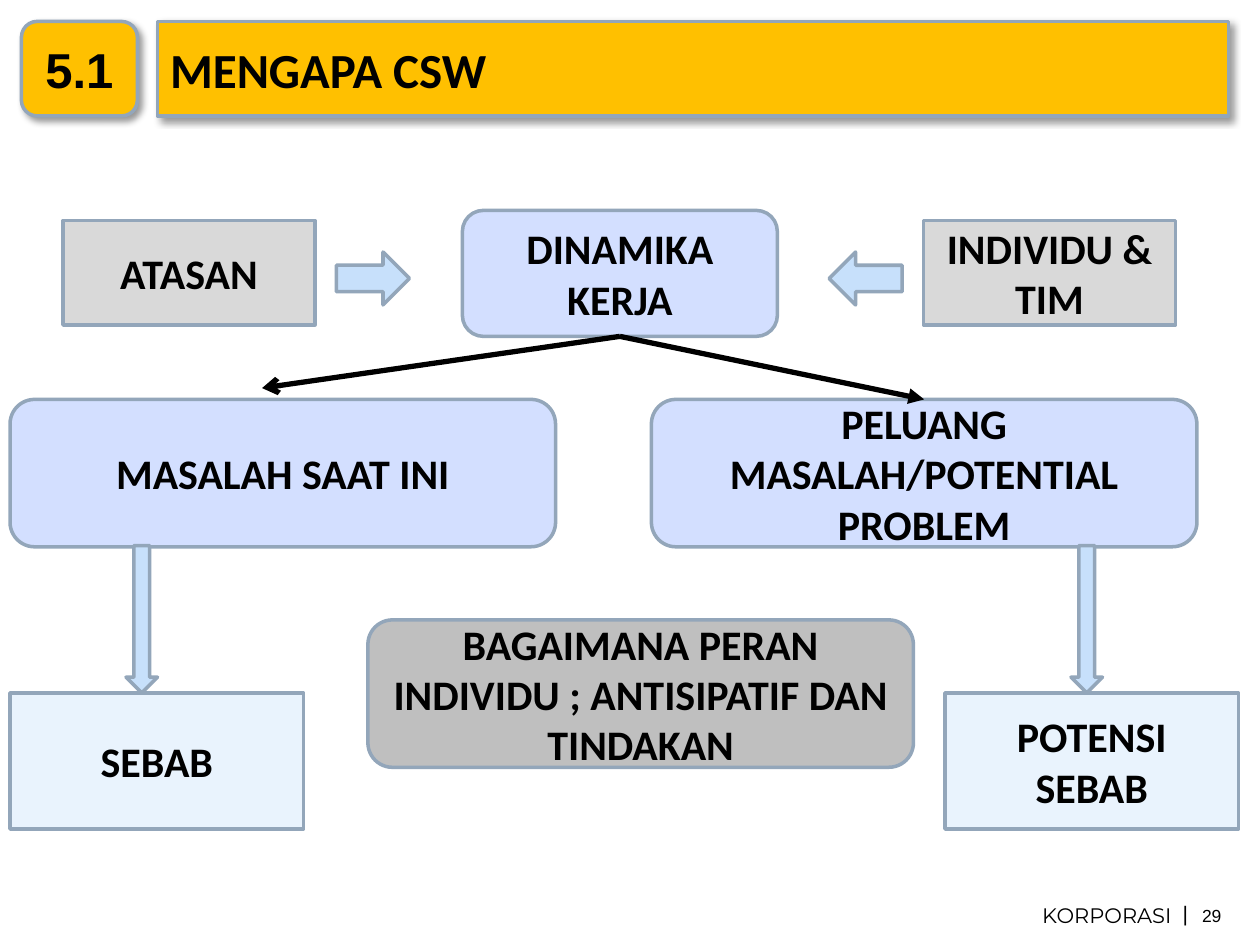
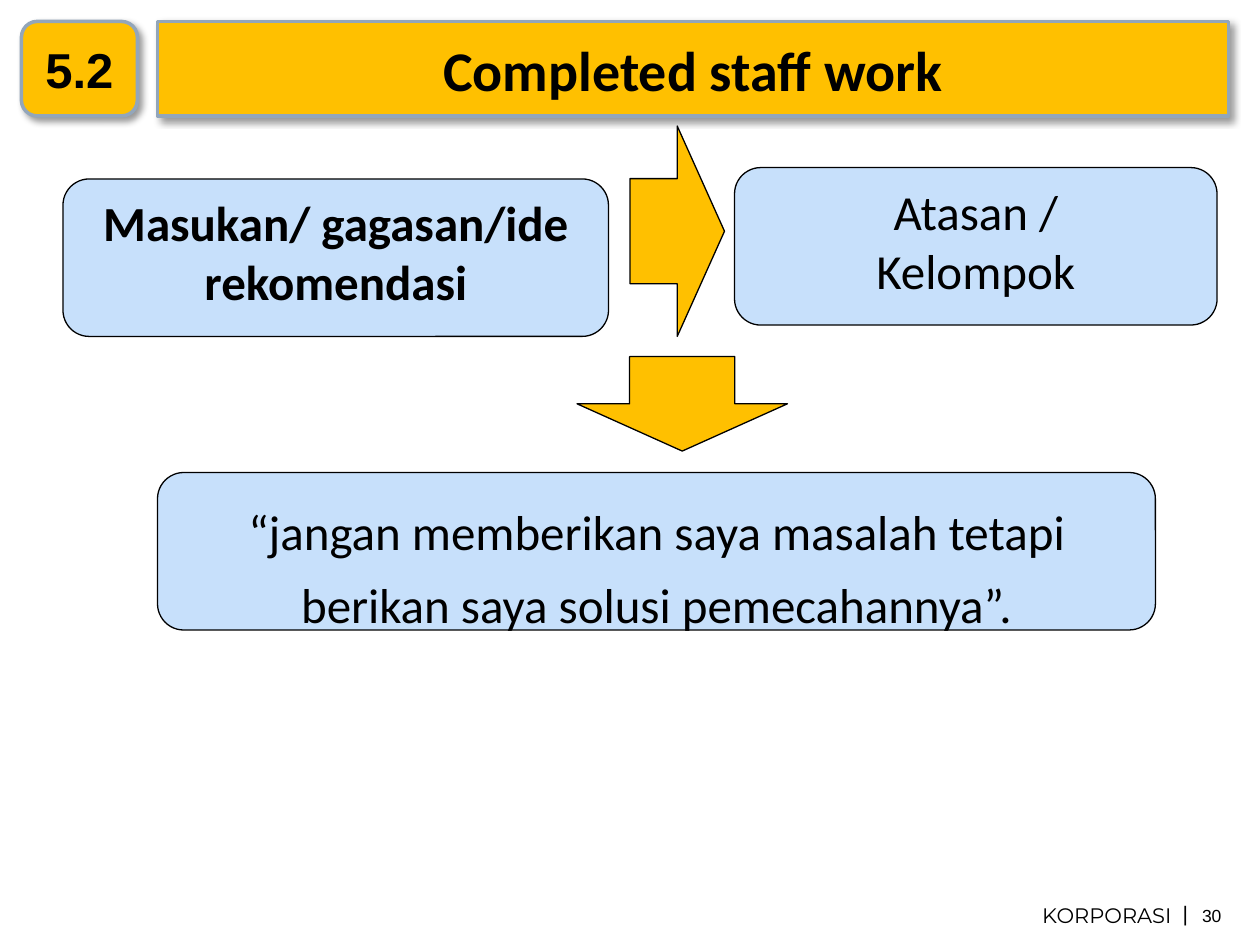
from dataclasses import dataclass

from lxml import etree
from pptx import Presentation
from pptx.dml.color import RGBColor
from pptx.enum import shapes, text
from pptx.oxml import ns
from pptx.util import Inches, Pt

COLOURS = {
    "black": "000000",
    "gold": "FFC000",
    "outline": "93A6BA",
    "lavender": "D3DFFF",
    "sky": "C7E0FB",
    "ice": "E9F3FD",
    "light_grey": "D9D9D9",
    "mid_grey": "BFBFBF",
}
FOOTER_NAME = "KORPORASI"
RECTANGLE = shapes.MSO_SHAPE.RECTANGLE
ROUNDED = shapes.MSO_SHAPE.ROUNDED_RECTANGLE
RIGHT_ARROW = shapes.MSO_SHAPE.RIGHT_ARROW
DOWN_ARROW = shapes.MSO_SHAPE.DOWN_ARROW
TOP, MIDDLE = text.MSO_ANCHOR.TOP, text.MSO_ANCHOR.MIDDLE
ALIGN = text.PP_ALIGN


@dataclass
class Box:
    left: float
    top: float
    width: float
    height: float
    fill: str
    words: str = ""
    kind: shapes.MSO_SHAPE = RECTANGLE
    size: float = 24
    bold: bool = True
    anchor: text.MSO_ANCHOR = MIDDLE
    spacing: float = 1.0
    rotation: float = 0
    line: str = "outline"
    line_width: float = 2


def colour(name: str) -> RGBColor:
    return RGBColor.from_string(COLOURS[name])


def write(shape, words: str, *, size: float, font="Calibri", bold=False,
          align=ALIGN.CENTER, anchor=MIDDLE, spacing=1.0, wrap=True, margins=None) -> None:
    """Fill a shape with one paragraph per line of words."""
    frame = shape.text_frame
    frame.text = words
    frame.word_wrap = wrap
    frame.auto_size = text.MSO_AUTO_SIZE.NONE
    frame.vertical_anchor = anchor
    if margins is not None:
        frame.margin_left = frame.margin_right = Inches(margins)
        frame.margin_top = frame.margin_bottom = Inches(margins)
    for paragraph in frame.paragraphs:
        paragraph.alignment = align
        paragraph.line_spacing = spacing
        paragraph.font.name = font
        paragraph.font.size = Pt(size)
        paragraph.font.bold = bold
        paragraph.font.color.rgb = colour("black")


def paint(shape, fill: str, line="outline", line_width=2.0) -> None:
    shape.fill.solid()
    shape.fill.fore_color.rgb = colour(fill)
    shape.line.color.rgb = colour(line)
    shape.line.width = Pt(line_width)
    shape.shadow.inherit = False


def add_box(slide, box: Box):
    shape = slide.shapes.add_shape(box.kind, Inches(box.left), Inches(box.top),
                                   Inches(box.width), Inches(box.height))
    shape.rotation = box.rotation
    paint(shape, box.fill, box.line, box.line_width)
    if box.words:
        write(shape, box.words, size=box.size, bold=box.bold,
              anchor=box.anchor, spacing=box.spacing)
    return shape


def add_soft_shadow(shape) -> None:
    effects = shape.element.spPr.find(ns.qn("a:effectLst"))
    shadow = etree.SubElement(effects, ns.qn("a:outerShdw"), blurRad=str(Pt(4)),
                              dist=str(Pt(3)), dir="2700000", algn="tl", rotWithShape="0")
    black = etree.SubElement(shadow, ns.qn("a:srgbClr"), val=COLOURS["black"])
    etree.SubElement(black, ns.qn("a:alpha"), val="40000")


def add_label(slide, left: float, top: float, width: float, height: float,
              words: str, **style) -> None:
    label = slide.shapes.add_textbox(Inches(left), Inches(top), Inches(width), Inches(height))
    write(label, words, **style)


def add_arrow_line(slide, start, end: tuple[float, float], head: str):
    """Draw an arrow from the bottom of the start shape."""
    line = slide.shapes.add_connector(shapes.MSO_CONNECTOR.STRAIGHT, 0, 0,
                                      Inches(end[0]), Inches(end[1]))
    line.begin_connect(start, 2)
    line.line.color.rgb = colour("black")
    line.line.width = Pt(3)
    properties = line.element.spPr
    etree.SubElement(properties.find(ns.qn("a:ln")), ns.qn("a:tailEnd"), type=head)
    etree.SubElement(properties, ns.qn("a:effectLst"))
    return line


def start_slide(presentation, number: str, title: str, page: int, *, size: float, align):
    """Add a slide with its title band, section number and footer."""
    slide = presentation.slides.add_slide(presentation.slide_layouts[5])

    # Title band: the placeholder takes a rounded outline
    band = slide.shapes.title
    band.left, band.top = Inches(1.25), Inches(0.17)
    band.width, band.height = Inches(8.5), Inches(0.75)
    geometry = etree.SubElement(band.element.spPr, ns.qn("a:prstGeom"), prst="roundRect")
    etree.SubElement(geometry, ns.qn("a:avLst"))
    paint(band, "gold")
    write(band, title, size=size, bold=True, align=align)

    # Section number
    section = add_box(slide, Box(0.17, 0.17, 0.92, 0.75, "gold", kind=ROUNDED))
    write(section, number, size=28, font="Arial", bold=True)
    for shape in (band, section):
        add_soft_shadow(shape)

    # Footer
    add_label(slide, 8.11, 7.11, 1.35, 0.31, FOOTER_NAME, size=12,
              font="Montserrat", anchor=TOP)
    add_label(slide, 9.39, 7.14, 0.04, 0.21, "|", size=12, font="Arial",
              align=ALIGN.RIGHT, wrap=False, margins=0)
    add_label(slide, 9.54, 7.18, 0.22, 0.17, str(page), size=10, font="Arial",
              align=ALIGN.LEFT, anchor=TOP, wrap=False, margins=0)
    return slide


def build_reasons(presentation) -> None:
    slide = start_slide(presentation, "5.1", "MENGAPA CSW", 29, size=28, align=ALIGN.JUSTIFY)

    # Work dynamics, fed from both sides
    dynamics = add_box(slide, Box(3.67, 1.67, 2.5, 1, "lavender", "DINAMIKA KERJA", ROUNDED))
    for left, words, arrow_left, rotation in ((0.5, "ATASAN", 2.67, 0),
                                              (7.33, "INDIVIDU & TIM", 6.58, 180)):
        add_box(slide, Box(left, 1.75, 2, 0.83, "light_grey", words))
        add_box(slide, Box(arrow_left, 2, 0.58, 0.42, "sky", kind=RIGHT_ARROW,
                           rotation=rotation))

    # Present and potential problems
    potential, present = (
        add_box(slide, Box(left, 3.17, 4.33, 1.17, "lavender", words, ROUNDED))
        for left, words in ((5.17, "PELUANG MASALAH/POTENTIAL PROBLEM"),
                            (0.08, "MASALAH SAAT INI")))
    add_arrow_line(slide, dynamics, (2.08, 3.08), "arrow")
    add_arrow_line(slide, dynamics, (7.33, 3.17), "triangle").end_connect(potential, 0)

    # Role of the individual
    add_box(slide, Box(2.92, 4.92, 4.33, 1.17, "mid_grey",
                       "BAGAIMANA PERAN INDIVIDU ; ANTISIPATIF DAN\nTINDAKAN", ROUNDED))

    # Causes
    for left, words, arrow_left in ((0.08, "SEBAB", 1), (7.5, "POTENSI SEBAB", 8.5)):
        add_box(slide, Box(left, 5.5, 2.33, 1.08, "ice", words))
        add_box(slide, Box(arrow_left, 4.33, 0.25, 1.17, "sky", kind=DOWN_ARROW))


def build_staff_work(presentation) -> None:
    slide = start_slide(presentation, "5.2", "Completed staff work", 30,
                        size=32, align=ALIGN.CENTER)
    thin = {"line": "black", "line_width": 0.75}
    panel = {"kind": ROUNDED, "size": 28, "anchor": TOP, **thin}
    arrow = {"kind": DOWN_ARROW, **thin}

    # Input passes to the superior, who asks for solutions
    for box in (
        Box(0.5, 1.42, 4.33, 1.25, "sky", "Masukan/ gagasan/ide\nrekomendasi", **panel),
        Box(4.54, 1.46, 1.67, 0.75, "gold", rotation=270, **arrow),
        Box(5.83, 1.33, 3.83, 1.25, "sky", "Atasan /\nKelompok", bold=False, **panel),
        Box(1.25, 3.75, 7.92, 1.25, "sky",
            "“jangan memberikan saya masalah tetapi berikan saya solusi pemecahannya”.",
            bold=False, spacing=1.25, **panel),
        Box(4.58, 2.83, 1.67, 0.75, "gold", **arrow),
    ):
        add_box(slide, box)


def main() -> None:
    presentation = Presentation()
    presentation.slide_width, presentation.slide_height = Inches(10), Inches(7.5)
    build_reasons(presentation)
    build_staff_work(presentation)
    presentation.save("out.pptx")


if __name__ == "__main__":
    main()
